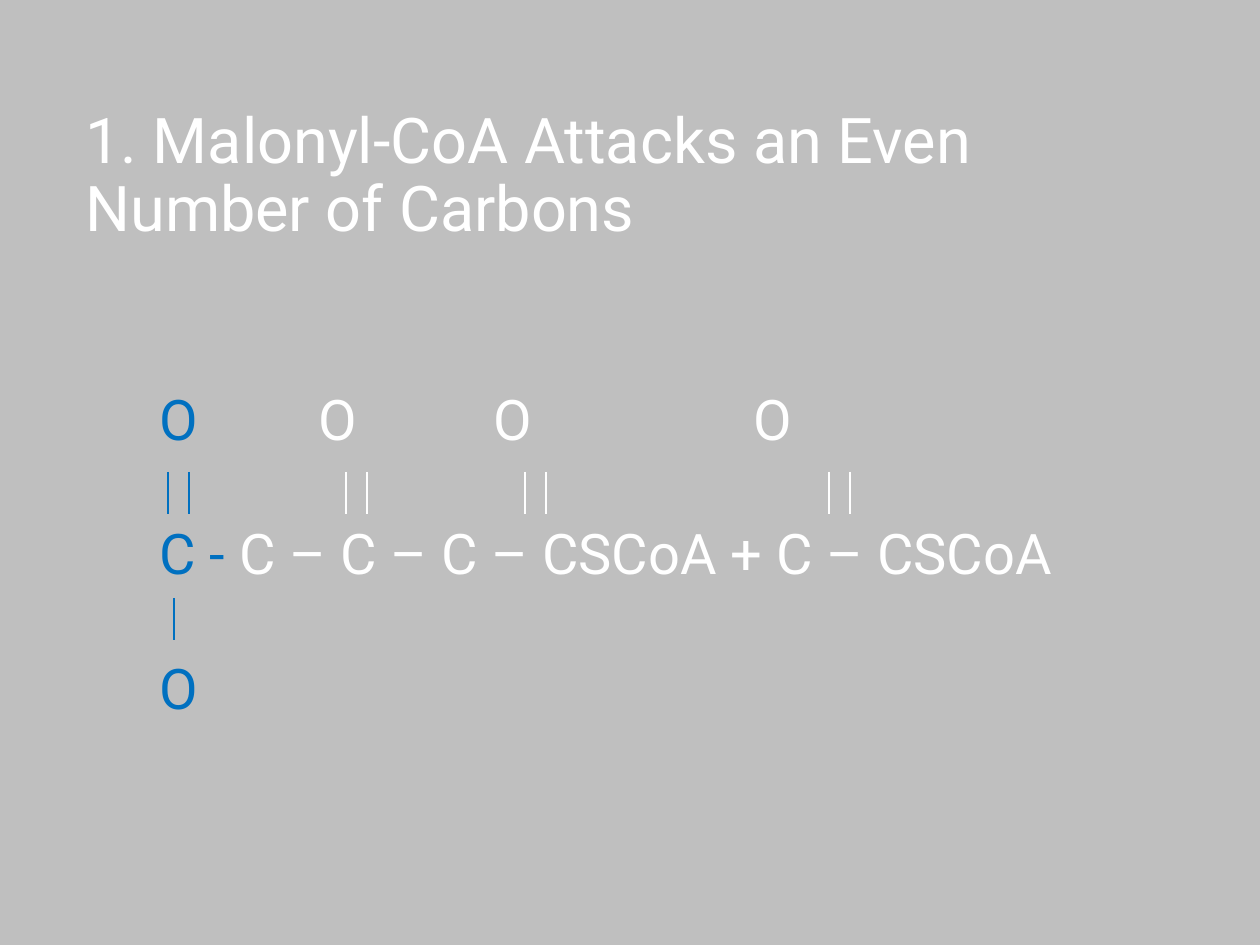
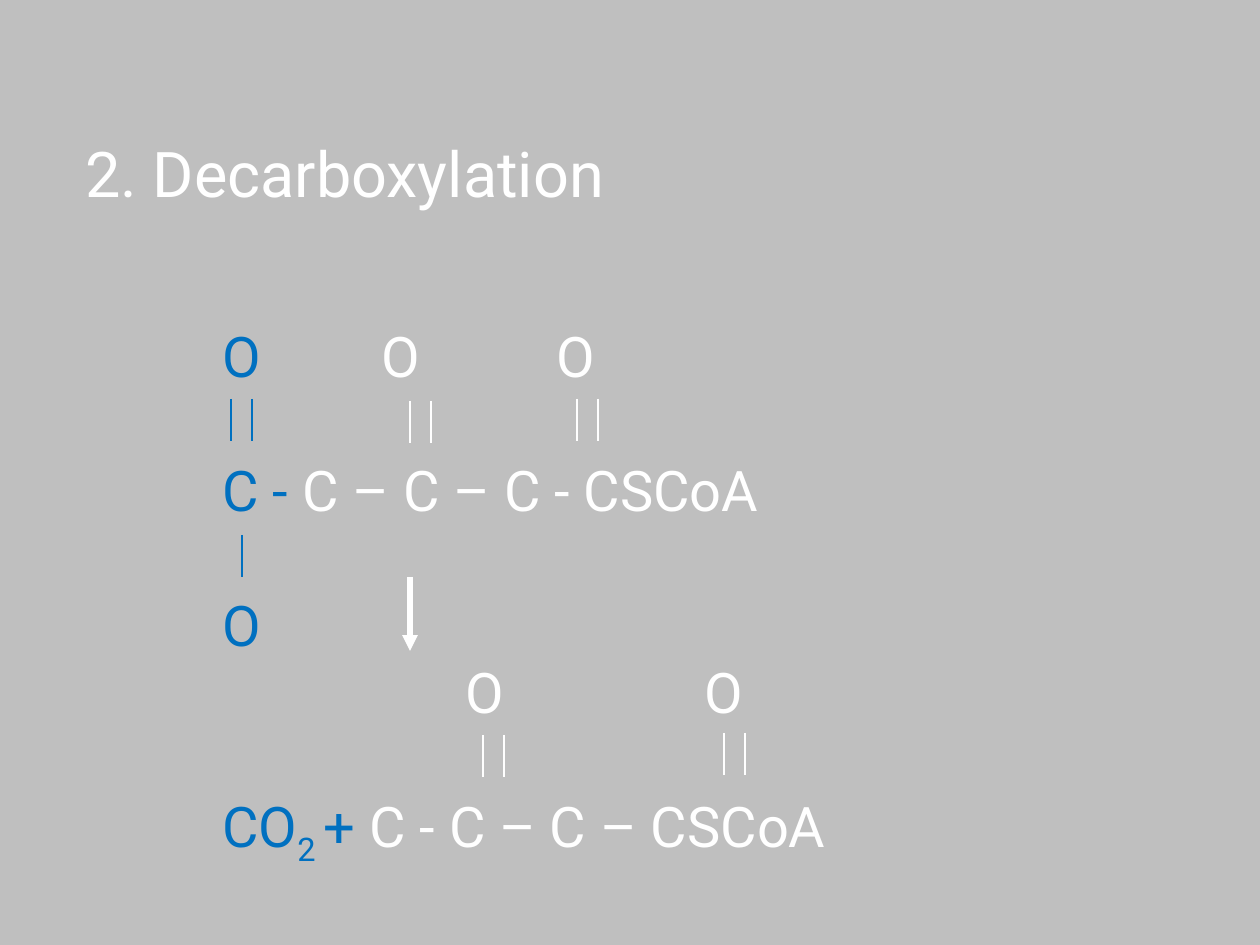
from lxml import etree
from pptx import Presentation
from pptx.dml.color import RGBColor
from pptx.enum.shapes import MSO_CONNECTOR
from pptx.enum.text import MSO_ANCHOR
from pptx.oxml.ns import qn
from pptx.util import Pt

STRAIGHT = MSO_CONNECTOR.STRAIGHT
MIDDLE = MSO_ANCHOR.MIDDLE
TOP = MSO_ANCHOR.TOP

PX = 914400 / 126
SLIDE_SIZE = (1260, 945)
COLOURS = {"background": "BFBFBF", "carboxyl": "0070C0", "chain": "FFFFFF"}
FONT = "Roboto"
TITLE_SIZE, FORMULA_SIZE = 36, 32
TITLE_BOX = (73, 103, 950, 149)
BOND_LENGTH, BOND_GAP = 42, 21
BOND_WIDTH, ARROW_WIDTH = 0.75, 3
BOND_ROW = 38.4  # points left free for the bonds between two rows of atoms
SUBSCRIPT = "-25000"

# row: (space before, tab stops in px, runs of (text, colour))
# bond: (left, top, colour); arrow: (x, top, bottom)
SLIDES = [
    {
        "title": "1. Malonyl-CoA Attacks an Even Number of Carbons",
        "formula_box": (147, 378, 1018, 420),
        "rows": [
            (0, (159, 334, 594), [("O", "carboxyl"), ("\tO\tO\tO", "chain")]),
            (BOND_ROW, (), [("C -", "carboxyl"),
                            (" C – C – C – CSCoA + C – CSCoA", "chain")]),
            (BOND_ROW, (), [("O", "carboxyl")]),
        ],
        "double_bonds": [(168, 472, "carboxyl"), (346, 472, "chain"),
                         (525, 472, "chain"), (829, 472, "chain")],
        "single_bonds": [(174, 598, "carboxyl")],
        "arrows": [],
    },
    {
        "title": "2. Decarboxylation",
        "formula_box": (210, 315, 648, 624),
        "rows": [
            (0, (159, 334), [("O", "carboxyl"), ("\tO\tO", "chain")]),
            (BOND_ROW, (), [("C -", "carboxyl"), (" C – C – C - CSCoA", "chain")]),
            (BOND_ROW, (), [("O", "carboxyl")]),
            (0, (243, 482), [("\tO\tO", "chain")]),
            (BOND_ROW, (), [("CO", "carboxyl"), ("2 ", "carboxyl", SUBSCRIPT),
                            ("+", "carboxyl"), (" C - C – C – CSCoA", "chain")]),
        ],
        "double_bonds": [(231, 399, "carboxyl"), (410, 401, "chain"),
                         (577, 399, "chain"), (483, 735, "chain"),
                         (724, 733, "chain")],
        "single_bonds": [(242, 535, "carboxyl")],
        "arrows": [(410, 577, 651)],
    },
]


def emu(pixels):
    return round(pixels * PX)


def rgb(name):
    return RGBColor.from_string(COLOURS[name])


def add_text_frame(slide, box, anchor):
    frame = slide.shapes.add_textbox(*map(emu, box)).text_frame
    frame.word_wrap = True
    frame.vertical_anchor = anchor
    return frame


def add_run(paragraph, text, size, colour, baseline=None):
    run = paragraph.add_run()
    run.text = text
    run.font.name = FONT
    run.font.size = Pt(size)
    run.font.color.rgb = rgb(colour)
    if baseline:
        run.font._element.set("baseline", baseline)


def add_tab_stops(paragraph, stops):
    tab_list = etree.SubElement(paragraph._p.get_or_add_pPr(), qn("a:tabLst"))
    for stop in stops:
        etree.SubElement(tab_list, qn("a:tab"), pos=str(emu(stop)), algn="l")


def add_title(slide, text):
    paragraph = add_text_frame(slide, TITLE_BOX, MIDDLE).paragraphs[0]
    paragraph.line_spacing = 0.9
    add_run(paragraph, text, TITLE_SIZE, "chain")


def add_formula(slide, box, rows):
    frame = add_text_frame(slide, box, TOP)
    for index, (space_before, stops, runs) in enumerate(rows):
        paragraph = frame.add_paragraph() if index else frame.paragraphs[0]
        if space_before:
            paragraph.space_before = Pt(space_before)
        if stops:
            add_tab_stops(paragraph, stops)
        for text, colour, *baseline in runs:
            add_run(paragraph, text, FORMULA_SIZE, colour, *baseline)


def add_vertical_line(slide, x, top, bottom, colour, width=BOND_WIDTH):
    line = slide.shapes.add_connector(STRAIGHT, emu(x), emu(top), emu(x), emu(bottom))
    line.line.color.rgb = rgb(colour)
    line.line.width = Pt(width)
    etree.SubElement(line._element.spPr, qn("a:effectLst"))
    return line


def add_arrow(slide, x, top, bottom):
    arrow = add_vertical_line(slide, x, top, bottom, "chain", ARROW_WIDTH)
    etree.SubElement(arrow.line._get_or_add_ln(), qn("a:tailEnd"), type="triangle")


def add_reaction_slide(presentation, content):
    slide = presentation.slides.add_slide(presentation.slide_layouts[6])
    slide.background.fill.solid()
    slide.background.fill.fore_color.rgb = rgb("background")
    add_title(slide, content["title"])
    add_formula(slide, content["formula_box"], content["rows"])
    strokes = content["single_bonds"] + [
        (left + offset, top, colour)
        for left, top, colour in content["double_bonds"]
        for offset in (0, BOND_GAP)
    ]
    for x, top, colour in strokes:
        add_vertical_line(slide, x, top, top + BOND_LENGTH, colour)
    for arrow in content["arrows"]:
        add_arrow(slide, *arrow)


def main():
    presentation = Presentation()
    presentation.slide_width, presentation.slide_height = map(emu, SLIDE_SIZE)
    for content in SLIDES:
        add_reaction_slide(presentation, content)
    presentation.save("out.pptx")


if __name__ == "__main__":
    main()
